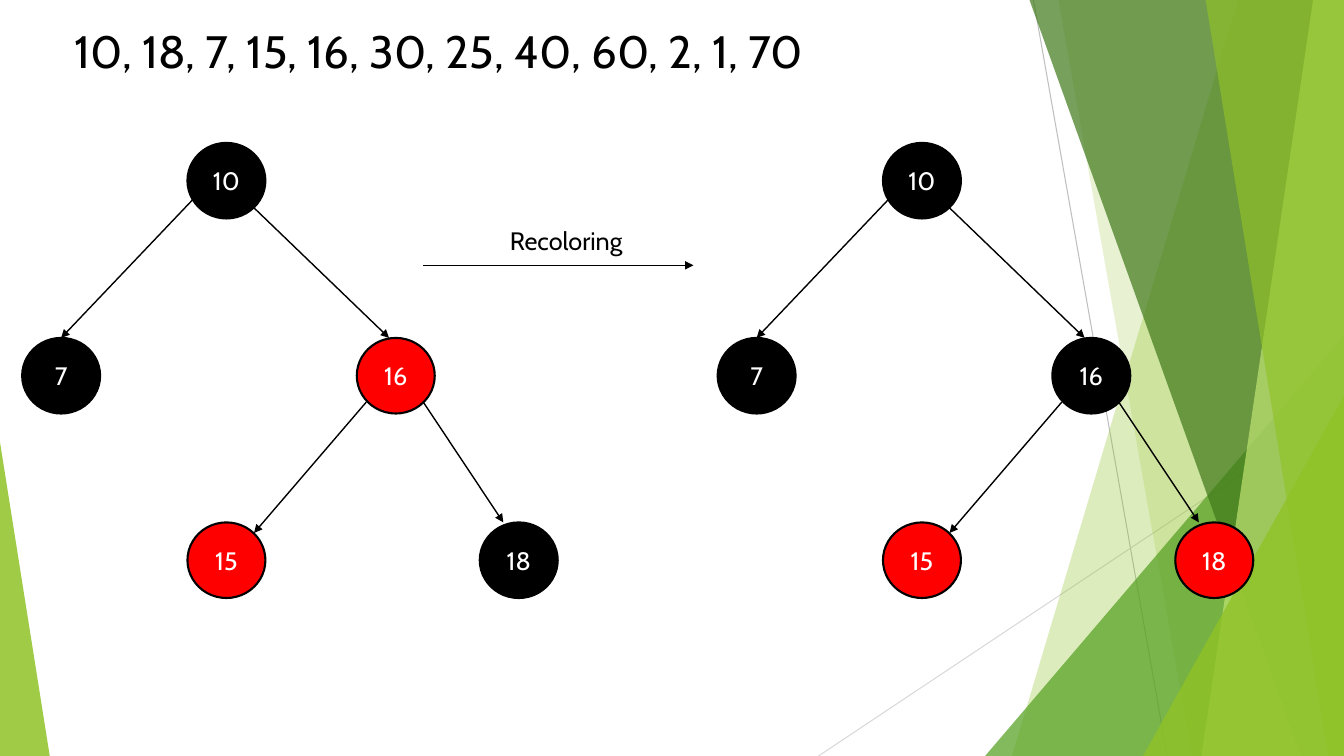
"""Build a slide that shows a recoloring step in a red-black tree."""
import pptx
import pptx.dml.color
import pptx.enum.shapes
import pptx.enum.text
import pptx.oxml
import pptx.oxml.ns
import pptx.util

RGB = pptx.dml.color.RGBColor
SHAPE = pptx.enum.shapes.MSO_SHAPE
ANCHOR = pptx.enum.text.MSO_ANCHOR
ALIGN = pptx.enum.text.PP_ALIGN

BLACK = RGB(0x00, 0x00, 0x00)
WHITE = RGB(0xFF, 0xFF, 0xFF)
RED = RGB(0xFF, 0x00, 0x00)
GREY = RGB(0xBF, 0xBF, 0xBF)
PALE_GREY = RGB(0xD9, 0xD9, 0xD9)
LIME = RGB(0x90, 0xC2, 0x26)
GREEN = RGB(0x54, 0xA0, 0x21)
DARK_GREEN = RGB(0x3F, 0x78, 0x19)
PALE_LIME = RGB(0xC0, 0xE4, 0x74)

WIDTH = pptx.util.Inches(13.33)
HEIGHT = pptx.util.Inches(7.5)
NODE_SIZE = (5.8, 10)
NODES = {"10": (12.3, 18.9), "16": (24.9, 44.7), "7": (0, 44.7),
         "15": (12.3, 69.1), "18": (34.05, 69.1)}
EDGES = {"7": (12.75, 26.3, 2.9, 44.7), "16": (17.25, 27.5, 27.3, 44.7),
         "15": (25.6, 53.2, 17.25, 70.5), "18": (29.85, 53.2, 35.8, 69.1)}


def across(share):
    """Turn a percentage of the slide's width into a length."""
    return round(WIDTH * share / 100)


def down(share):
    """Turn a percentage of the slide's height into a length."""
    return round(HEIGHT * share / 100)


def area(left, top, width, height):
    """Turn percentages into a left, top, width and height."""
    return across(left), down(top), across(width), down(height)


def apply_format(target, values):
    """Set every format value on the target."""
    for name, value in values.items():
        setattr(target, name, value)


def write(frame, text, size, color, paragraph_format, frame_format):
    """Write one formatted paragraph into a text frame."""
    apply_format(frame, frame_format)
    frame.text = text
    paragraph = frame.paragraphs[0]
    apply_format(paragraph, paragraph_format)
    run = paragraph.runs[0]
    apply_format(run.font, {"name": "Cabin", "size": pptx.util.Pt(size), "bold": False})
    run.font.color.rgb = color


def paint(shape, color, opacity=100):
    """Fill a shape with a color of the given opacity, without shadow."""
    shape.shadow.inherit = False
    shape.fill.solid()
    shape.fill.fore_color.rgb = color
    if opacity < 100:
        color_element = shape.fill._xPr.find(".//" + pptx.oxml.ns.qn("a:srgbClr"))
        alpha = pptx.oxml.parse_xml(
            f'<a:alpha {pptx.oxml.ns.nsdecls("a")} val="{opacity * 1000}"/>')
        color_element.append(alpha)


def add_line(slide, start, end, color, weight, arrow=False):
    """Draw a straight line between two points, with an optional arrowhead."""
    line = slide.shapes.add_connector(
        pptx.enum.shapes.MSO_CONNECTOR.STRAIGHT,
        across(start[0]), down(start[1]), across(end[0]), down(end[1]))
    apply_format(line.line, {"width": pptx.util.Pt(weight)})
    line.line.color.rgb = color
    namespace = pptx.oxml.ns.nsdecls("a")
    if arrow:
        line.line._get_or_add_ln().append(
            pptx.oxml.parse_xml(f'<a:tailEnd {namespace} type="triangle"/>'))
    line._element.spPr.append(pptx.oxml.parse_xml(f"<a:effectLst {namespace}/>"))
    return line


def add_band(slide, top_left, bottom_left, color, opacity):
    """Draw a full-height band that reaches the slide's right edge."""
    builder = slide.shapes.build_freeform(across(top_left), 0)
    builder.add_line_segments(
        [(WIDTH, 0), (WIDTH, HEIGHT), (across(bottom_left), HEIGHT)], close=True)
    band = builder.convert_to_shape()
    paint(band, color, opacity)
    band.line.fill.background()


def add_corner(slide, left, top, width, apex, color, opacity):
    """Draw a right triangle that stands on the slide's bottom edge."""
    corner = slide.shapes.add_shape(
        SHAPE.ISOSCELES_TRIANGLE, *area(left, top, width, 100 - top))
    corner.adjustments[0] = apex
    paint(corner, color, opacity)
    corner.line.fill.background()


def add_backdrop(slide):
    """Draw the green facets and thin lines behind the trees."""
    add_line(slide, (76.9, 0), (86.85, 100), GREY, 0.75)
    add_line(slide, (100, 53.7), (60.9, 100), PALE_GREY, 0.75)
    add_band(slide, 92.1, 75.3, LIME, 30)
    add_band(slide, 78.75, 88.7, LIME, 20)
    add_corner(slide, 73.3, 44.4, 26.7, 1, GREEN, 72)
    add_band(slide, 76.6, 96.8, DARK_GREEN, 70)
    add_band(slide, 97.7, 89.4, PALE_LIME, 70)
    add_band(slide, 89.7, 98.85, LIME, 65)
    add_corner(slide, 85.05, 52.4, 14.95, 1, LIME, 80)
    add_corner(slide, 0, 58.5, 3.7, 0, LIME, 85)


def add_node(slide, key, left, top, color):
    """Draw one tree node with its key."""
    node = slide.shapes.add_shape(
        SHAPE.FLOWCHART_CONNECTOR, *area(left, top, *NODE_SIZE))
    paint(node, color)
    node.line.color.rgb = BLACK
    node.line.width = pptx.util.Pt(1.5)
    write(node.text_frame, key, 18, WHITE, {"alignment": ALIGN.CENTER},
          {"vertical_anchor": ANCHOR.MIDDLE, "word_wrap": True})
    return node


def add_tree(slide, origin, red_keys):
    """Draw a whole tree from its left edge, with the given keys in red."""
    nodes = {key: add_node(slide, key, origin + left, top,
                           RED if key in red_keys else BLACK)
             for key, (left, top) in NODES.items()}
    edges = {key: add_line(slide, (origin + x1, y1), (origin + x2, y2), BLACK, 1, True)
             for key, (x1, y1, x2, y2) in EDGES.items()}
    edges["7"].end_connect(nodes["7"], 0)


def add_title(slide, text):
    """Place and format the title placeholder."""
    title = slide.shapes.title
    place = area(4.8, 2.4, 70.5, 8.3)
    apply_format(title, dict(zip(("left", "top", "width", "height"), place)))
    write(title.text_frame, text, 32.4, BLACK, {"alignment": ALIGN.LEFT},
          {"vertical_anchor": ANCHOR.TOP, "word_wrap": True,
           "auto_size": pptx.enum.text.MSO_AUTO_SIZE.NONE})


def add_step(slide, text):
    """Draw the arrow between the trees and its label."""
    add_line(slide, (31.5, 35.1), (51.6, 35.1), BLACK, 1, True)
    label = slide.shapes.add_textbox(*area(37.2, 29.1, 17.7, 5.3))
    write(label.text_frame, text, 18, BLACK, {"alignment": ALIGN.LEFT},
          {"word_wrap": True})


def main():
    """Build the slide and save it."""
    deck = pptx.Presentation()
    apply_format(deck, {"slide_width": WIDTH, "slide_height": HEIGHT})
    slide = deck.slides.add_slide(deck.slide_layouts[5])
    add_backdrop(slide)
    add_title(slide, "10, 18, 7, 15, 16, 30, 25, 40, 60, 2, 1, 70")
    add_tree(slide, 1.65, {"16", "15"})
    add_tree(slide, 53.4, {"15", "18"})
    add_step(slide, "Recoloring")
    deck.save("out.pptx")


if __name__ == "__main__":
    main()
